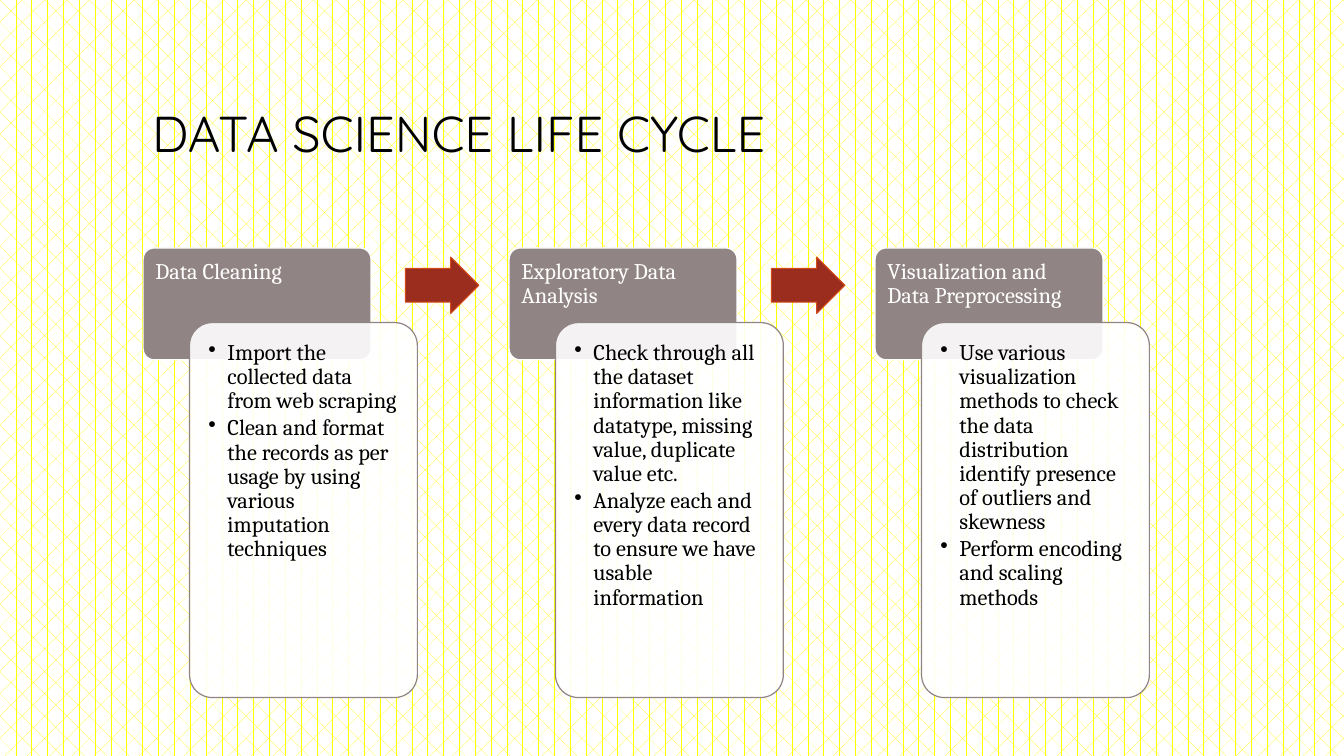
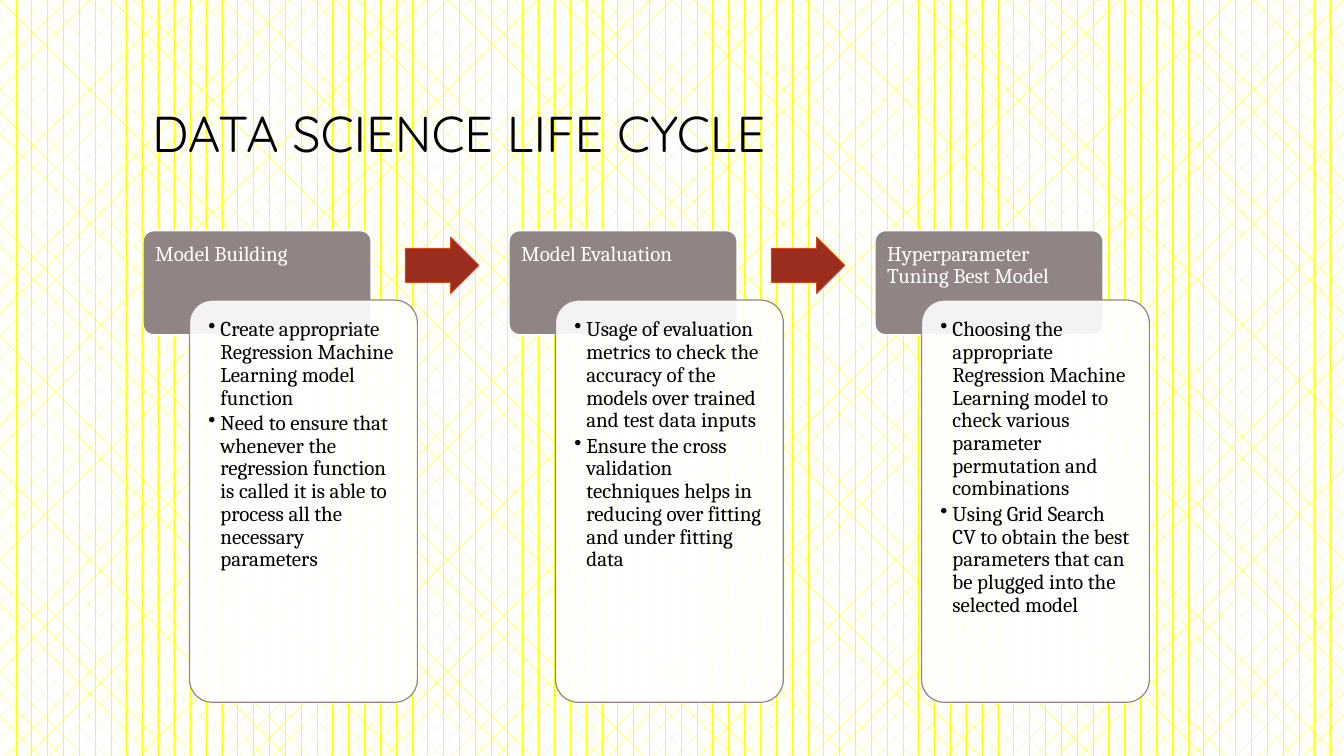
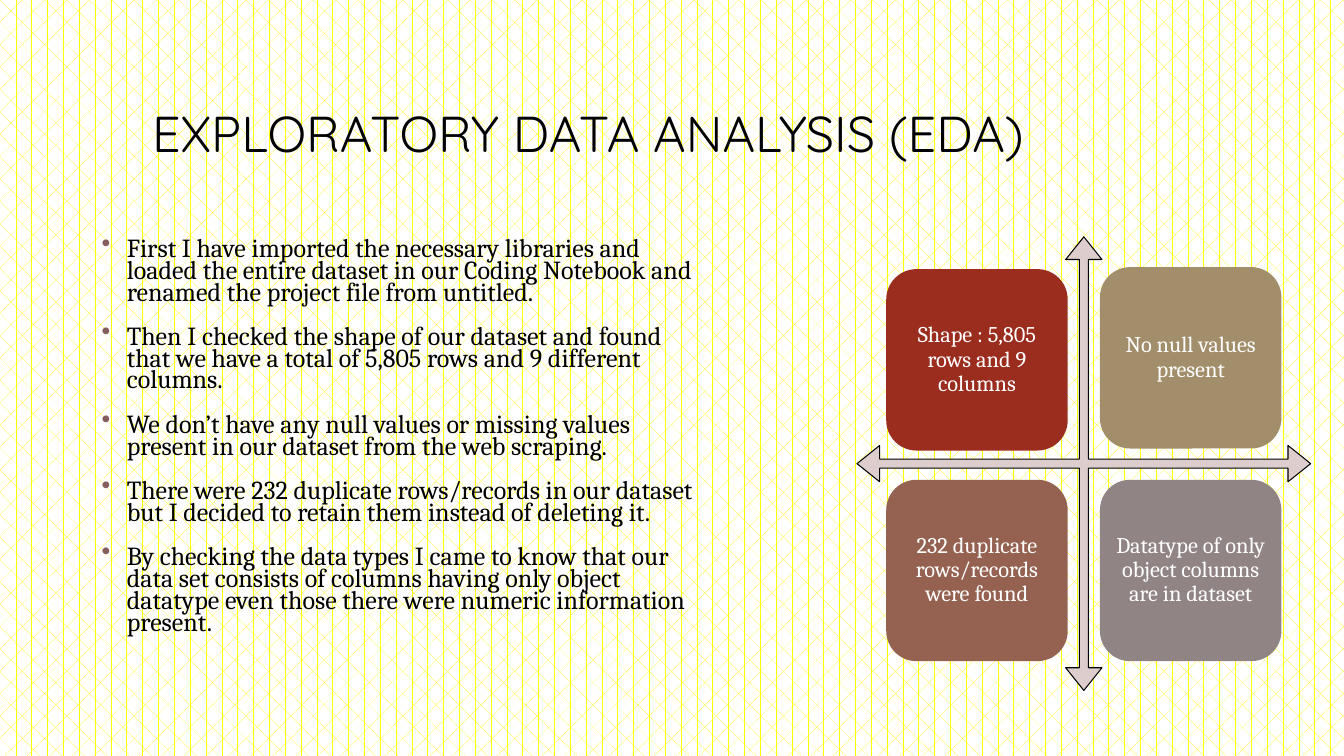
from lxml import etree
from pptx import Presentation
from pptx.dml.color import RGBColor
from pptx.enum.dml import MSO_PATTERN
from pptx.enum.shapes import MSO_SHAPE
from pptx.enum.text import MSO_ANCHOR, PP_ALIGN
from pptx.oxml.ns import qn
from pptx.util import Inches, Pt

BLACK = RGBColor(0x00, 0x00, 0x00)
WHITE = RGBColor(0xFF, 0xFF, 0xFF)
YELLOW = RGBColor(0xFF, 0xFF, 0x00)
TAUPE = RGBColor(0x91, 0x84, 0x85)
RED = RGBColor(0x9B, 0x2D, 0x1F)
ORANGE = RGBColor(0xD3, 0x48, 0x17)
SAND = RGBColor(0xA2, 0x8E, 0x6A)
BROWN = RGBColor(0x95, 0x62, 0x51)
PINK = RGBColor(0xDE, 0xCD, 0xCD)
MAUVE = RGBColor(0x85, 0x5D, 0x5D)


def add_shape(s, kind, box, fill, line=None, line_width=0.75, adj=()):
    sp = s.shapes.add_shape(kind, *[Inches(v) for v in box])
    sp.shadow.inherit = False
    sp.fill.solid()
    sp.fill.fore_color.rgb = fill
    if line is None:
        sp.line.fill.background()
    else:
        sp.line.color.rgb = line
        sp.line.width = Pt(line_width)
    for i, value in enumerate(adj):
        sp.adjustments[i] = value
    return sp


def add_text(sp, texts, size, color, font="Cambria", anchor=MSO_ANCHOR.TOP,
             align=PP_ALIGN.LEFT, spacing=0.9, before=0, after=0,
             margins=(0.1, 0.05, 0.1, 0.05), hang=0, bullet_color=None):
    """Write one paragraph per text; a hang above 0 adds bullets."""
    tf = sp.text_frame
    tf.word_wrap = True
    tf.vertical_anchor = anchor
    tf.margin_left, tf.margin_top, tf.margin_right, tf.margin_bottom = [
        Inches(m) for m in margins]
    for i, text in enumerate(texts):
        p = tf.paragraphs[0] if i == 0 else tf.add_paragraph()
        p.alignment = align
        p.line_spacing = spacing
        p.space_before = Pt(before)
        p.space_after = Pt(after)
        if hang:
            pPr = p._p.get_or_add_pPr()
            pPr.set("marL", str(Inches(hang)))
            pPr.set("indent", str(-Inches(hang)))
            if bullet_color is not None:
                clr = etree.SubElement(pPr, qn("a:buClr"))
                etree.SubElement(clr, qn("a:srgbClr")).set("val", str(bullet_color))
            etree.SubElement(pPr, qn("a:buChar")).set("char", "•")
        r = p.add_run()
        r.text = text
        r.font.name = font
        r.font.size = Pt(size)
        r.font.color.rgb = color


prs = Presentation()
prs.slide_width = Inches(13.33)
prs.slide_height = Inches(7.5)
background = prs.slide_master.background.fill
background.patterned()
background.pattern = MSO_PATTERN.DIVOT
background.fore_color.rgb = YELLOW
background.back_color.rgb = WHITE

titles = ["DATA SCIENCE LIFE CYCLE", "DATA SCIENCE LIFE CYCLE",
          "EXPLORATORY DATA ANALYSIS (EDA)"]
for title in titles:
    s = prs.slides.add_slide(prs.slide_layouts[6])
    box = s.shapes.add_textbox(Inches(1.41), Inches(0.42), Inches(10.5), Inches(1.25))
    add_text(box, [title], 36, BLACK, font="Quicksand", anchor=MSO_ANCHOR.BOTTOM)

# Slides 1 and 2: three steps joined by arrows
# Each entry: header top, header height, card height, text size, bullet hang, steps
cycles = [
    (2.46, 1.11, 3.72, 16, 0.19, [
        ("Data Cleaning", [
            "Import the collected data from web scraping",
            "Clean and format the records as per usage by using various "
            "imputation techniques"]),
        ("Exploratory Data Analysis", [
            "Check through all the dataset information like datatype, missing "
            "value, duplicate value etc.",
            "Analyze each and every data record to ensure we have usable "
            "information"]),
        ("Visualization and Data Preprocessing", [
            "Use various visualization methods to check the data distribution "
            "identify presence of outliers and skewness",
            "Perform encoding and scaling methods"]),
    ]),
    (2.29, 1.03, 3.99, 15, 0.12, [
        ("Model Building", [
            "Create appropriate Regression Machine Learning model function",
            "Need to ensure that whenever the regression function is called it "
            "is able to process all the necessary parameters"]),
        ("Model Evaluation", [
            "Usage of evaluation metrics to check the accuracy of the models "
            "over trained and test data inputs",
            "Ensure the cross validation techniques helps in reducing over "
            "fitting and under fitting data"]),
        ("Hyperparameter Tuning Best Model", [
            "Choosing the appropriate Regression Machine Learning model to "
            "check various parameter permutation and combinations",
            "Using Grid Search CV to obtain the best parameters that can be "
            "plugged into the selected model"]),
    ]),
]
STEP_LEFT, STEP_PITCH, STEP_W = 1.42, 3.63, 2.26
ARROW_W, ARROW_H = 0.73, 0.56

for s, (top, head_h, card_h, size, hang, steps) in zip(prs.slides, cycles):
    visible_h = head_h * 2 / 3
    for i, (heading, points) in enumerate(steps):
        left = STEP_LEFT + i * STEP_PITCH
        head = add_shape(s, MSO_SHAPE.ROUNDED_RECTANGLE, (left, top, STEP_W, head_h),
                         TAUPE, WHITE, 0.85, [0.1])
        add_text(head, [heading], size, WHITE, margins=(0.09, 0.09, 0.09, 0.06))
        card = add_shape(s, MSO_SHAPE.ROUNDED_RECTANGLE,
                         (left + 0.46, top + visible_h, STEP_W, card_h),
                         WHITE, TAUPE, 0.85, [0.1])
        white = card._element.spPr.find(qn("a:solidFill"))[0]
        etree.SubElement(white, qn("a:alpha")).set("val", "90000")
        add_text(card, points, size, BLACK, after=2, margins=(0.12,) * 4, hang=hang)
        if i < len(steps) - 1:
            arrow_top = top + (visible_h - ARROW_H) / 2
            add_shape(s, MSO_SHAPE.RIGHT_ARROW, (left + 2.6, arrow_top, ARROW_W, ARROW_H),
                      RED, ORANGE, adj=[0.6, 0.5])

# Slide 3: findings and a four-part matrix
s = prs.slides[2]
add_shape(s, MSO_SHAPE.QUAD_ARROW, (8.5, 2.35, 4.5, 4.5), PINK, BLACK,
          adj=[0.02, 0.04, 0.05])
quadrants = [
    (8.79, 2.67, RED, "Shape : 5,805 rows and 9 columns"),
    (10.91, 2.65, SAND, "No null values present"),
    (8.79, 4.76, BROWN, "232 duplicate rows/records were found"),
    (10.91, 4.76, TAUPE, "Datatype of only object columns are in dataset"),
]
for left, top, color, text in quadrants:
    tile = add_shape(s, MSO_SHAPE.ROUNDED_RECTANGLE, (left, top, 1.8, 1.8), color)
    add_text(tile, [text], 16, WHITE, anchor=MSO_ANCHOR.MIDDLE,
             align=PP_ALIGN.CENTER, margins=(0.07,) * 4)

findings = [
    "First I have imported the necessary libraries and loaded the entire dataset "
    "in our Coding Notebook and renamed the project file from untitled.",
    "Then I checked the shape of our dataset and found that we have a total of "
    "5,805 rows and 9 different columns.",
    "We don’t have any null values or missing values present in our dataset from "
    "the web scraping.",
    "There were 232 duplicate rows/records in our dataset but I decided to retain "
    "them instead of deleting it.",
    "By checking the data types I came to know that our data set consists of "
    "columns having only object datatype even those there were numeric "
    "information present.",
]
box = s.shapes.add_textbox(Inches(0.91), Inches(2.33), Inches(6.1), Inches(4.54))
add_text(box, findings, 18.6, BLACK, spacing=0.7, before=16, hang=0.25,
         bullet_color=MAUVE)

prs.save("out.pptx")
